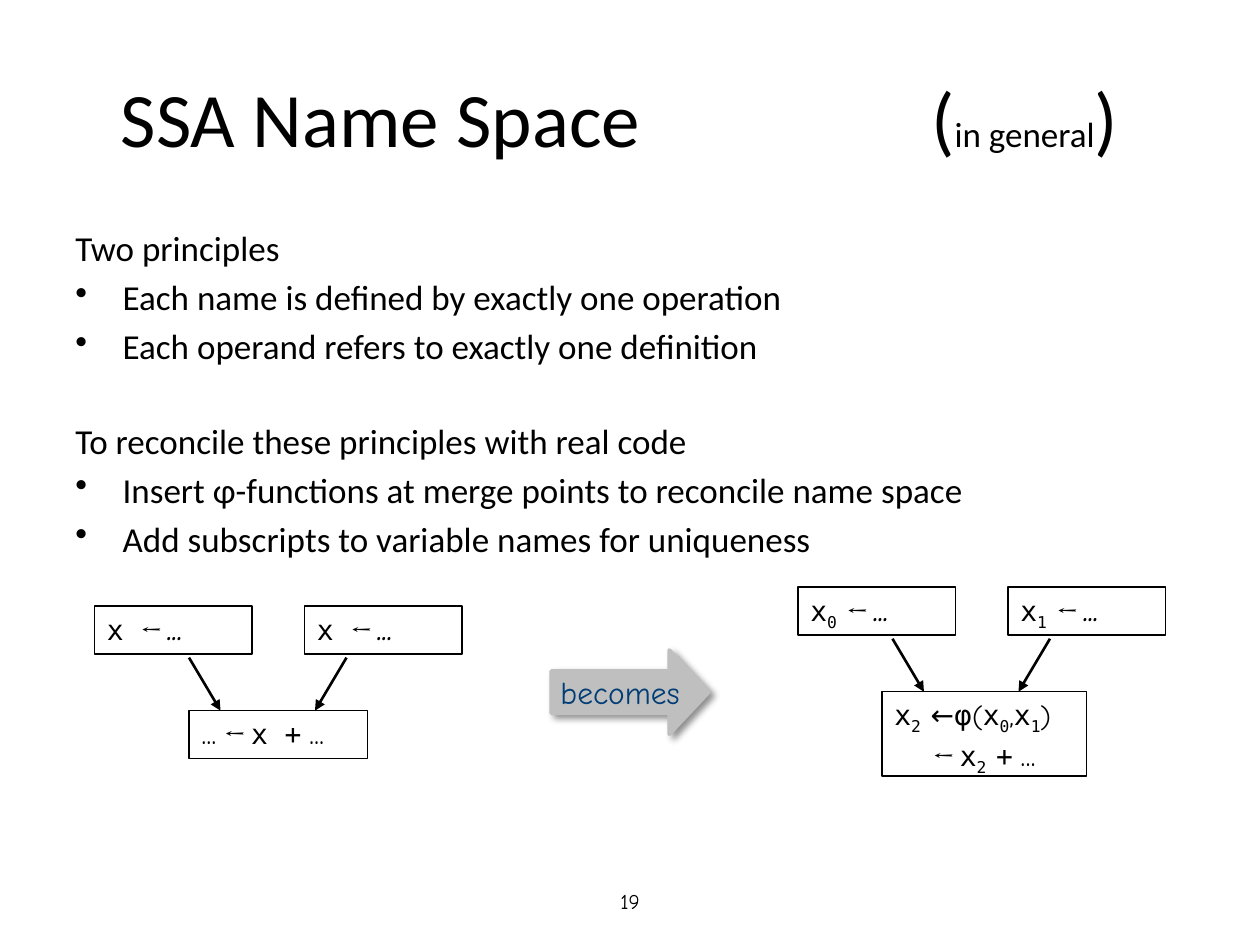
from pptx import Presentation
from pptx.dml.color import RGBColor
from pptx.enum.shapes import MSO_CONNECTOR, MSO_SHAPE
from pptx.enum.text import MSO_ANCHOR, PP_ALIGN
from pptx.oxml import parse_xml
from pptx.oxml.ns import nsdecls
from pptx.util import Pt

BLACK = RGBColor(0, 0, 0)
GRAY = RGBColor(0xBF, 0xBF, 0xBF)
NAVY = RGBColor(0, 0x3C, 0x75)

SANS = "Calibri"
MONO = "DejaVu Sans Mono"
MATH = "Cambria"
ROUND = "Quicksand"
COMIC = "Comic Neue"

STEP = 402
RISE = 10.8


def make(tag, inner="", attrs=""):
    return parse_xml(f"<a:{tag} {nsdecls('a')} {attrs}>{inner}</a:{tag}>")


def add_run(para, text, size, face, color=BLACK, italic=False, sub=False):
    run = para.add_run()
    run.text = text
    font = run.font
    font.size = Pt(size)
    font.name = face
    font.color.rgb = color
    font.italic = italic
    if sub:
        run._r.get_or_add_rPr().set("baseline", "-25000")


def add_text(slide, left, top, width, height, anchor=MSO_ANCHOR.TOP):
    box = slide.shapes.add_textbox(Pt(left), Pt(top), Pt(width), Pt(height))
    frame = box.text_frame
    frame.word_wrap = True
    frame.vertical_anchor = anchor
    return frame


def add_title(slide):
    frame = add_text(slide, 36, 21.6, 648, 90, MSO_ANCHOR.MIDDLE)
    frame.margin_left = Pt(33)
    para = frame.paragraphs[0]
    stop = f'<a:tab pos="{Pt(570)}" algn="r"/>'
    para._p.get_or_add_pPr().append(make("tabLst", stop))
    add_run(para, "SSA Name Space\t(", 44, SANS)
    add_run(para, "in general", 20, SANS)
    add_run(para, ")", 44, SANS)


def add_body(slide, parts):
    frame = add_text(slide, 36, 126, 648, 356.4)
    para = frame.paragraphs[0]
    for num, (head, items) in enumerate(parts):
        if num:
            para = frame.add_paragraph()
            para.space_before = Pt(30)
        add_run(para, head, 20, SANS)
        for item in items:
            para = frame.add_paragraph()
            props = para._p.get_or_add_pPr()
            props.set("marL", str(Pt(27)))
            props.set("indent", str(Pt(-27)))
            props.append(make("buChar", attrs='char="•"'))
            para.space_before = Pt(4)
            add_run(para, item, 20, SANS)


def add_node(slide, left, top, width, height, lines):
    node = slide.shapes.add_shape(
        MSO_SHAPE.RECTANGLE, Pt(left), Pt(top), Pt(width), Pt(height))
    node.shadow.inherit = False
    node.fill.background()
    node.line.color.rgb = BLACK
    node.line.width = Pt(0.75)
    frame = node.text_frame
    frame.vertical_anchor = MSO_ANCHOR.TOP
    for num, line in enumerate(lines):
        para = frame.add_paragraph() if num else frame.paragraphs[0]
        para.alignment = PP_ALIGN.LEFT
        if num:
            para._p.get_or_add_pPr().set("marL", str(Pt(22)))
            para.space_before = Pt(1.6)
        for text, face, *style in line:
            add_run(para, text, 16, face,
                    italic=face == MATH, sub="sub" in style)


def add_arrow(slide, x1, y1, x2, y2):
    line = slide.shapes.add_connector(
        MSO_CONNECTOR.STRAIGHT, Pt(x1), Pt(y1), Pt(x2), Pt(y2))
    line.line.color.rgb = BLACK
    line.line.width = Pt(1.5)
    line.line._get_or_add_ln().append(make("tailEnd", attrs='type="triangle"'))
    line._element.spPr.append(make("effectLst"))


def add_graph(slide, dx, dy, defs, use, left, width, height):
    for num, line in enumerate(defs):
        add_node(slide, 54 + dx + 120 * num, 346.3 + dy, 90, 27.4, [line])
    add_node(slide, left, 406.1 + dy, width, height, use)
    for x1, x2 in ((108, 126), (198, 180)):
        add_arrow(slide, x1 + dx, 375.8 + dy, x2 + dx, 406.1 + dy)


def add_block(slide):
    block = slide.shapes.add_shape(
        MSO_SHAPE.RIGHT_ARROW, Pt(315), Pt(371.5), Pt(90), Pt(48))
    block.adjustments[0] = 0.5
    block.adjustments[1] = 0.47
    block.fill.solid()
    block.fill.fore_color.rgb = GRAY
    block.line.color.rgb = GRAY
    block.line.width = Pt(2.25)
    shade = ('<a:srgbClr val="000000"><a:alpha val="43000"/></a:srgbClr>')
    cast = (f'<a:outerShdw blurRad="{Pt(4)}" dist="{Pt(3)}" dir="2700000" '
            f'algn="tl" rotWithShape="0">{shade}</a:outerShdw>')
    block._element.spPr.append(make("effectLst", cast))
    frame = block.text_frame
    frame.word_wrap = False
    frame.vertical_anchor = MSO_ANCHOR.MIDDLE
    para = frame.paragraphs[0]
    para.alignment = PP_ALIGN.CENTER
    add_run(para, "becomes", 18, COMIC, NAVY)


def add_number(slide):
    frame = add_text(slide, 246, 500.4, 228, 28.8, MSO_ANCHOR.MIDDLE)
    para = frame.paragraphs[0]
    para.alignment = PP_ALIGN.CENTER
    add_run(para, "19", 12, COMIC)


def main():
    deck = Presentation()
    deck.slide_width = Pt(720)
    deck.slide_height = Pt(540)
    slide = deck.slides.add_slide(deck.slide_layouts[6])
    add_number(slide)
    add_title(slide)
    add_body(slide, [
        ("Two principles", [
            "Each name is defined by exactly one operation",
            "Each operand refers to exactly one definition"]),
        ("To reconcile these principles with real code", [
            "Insert φ-functions at merge points to reconcile name space",
            "Add subscripts to variable names for uniqueness"]),
    ])
    plain = [("x ", MONO), ("← ...", MATH)]
    use = [[("... ", ROUND), ("← ", MATH), ("x +", MONO), (" ...", ROUND)]]
    add_graph(slide, 0, 0, [plain, plain], use, 108, 102, 27.4)
    named = [[("x", MONO), (f"{num} ", MONO, "sub"), ("← ...", MATH)]
             for num in range(2)]
    merge = [
        [("x", MONO), ("2 ", MONO, "sub"), ("←φ(", ROUND),
         ("x", MONO), ("0", MONO, "sub"), (",", COMIC),
         ("x", MONO), ("1", MONO, "sub"), (")", ROUND)],
        [("← ", MATH), ("x", MONO), ("2 ", MONO, "sub"),
         ("+", MONO), (" ...", ROUND)],
    ]
    add_graph(slide, STEP, -RISE, named, merge, 504, 117, 48.2)
    add_block(slide)
    deck.save("out.pptx")


if __name__ == "__main__":
    main()
